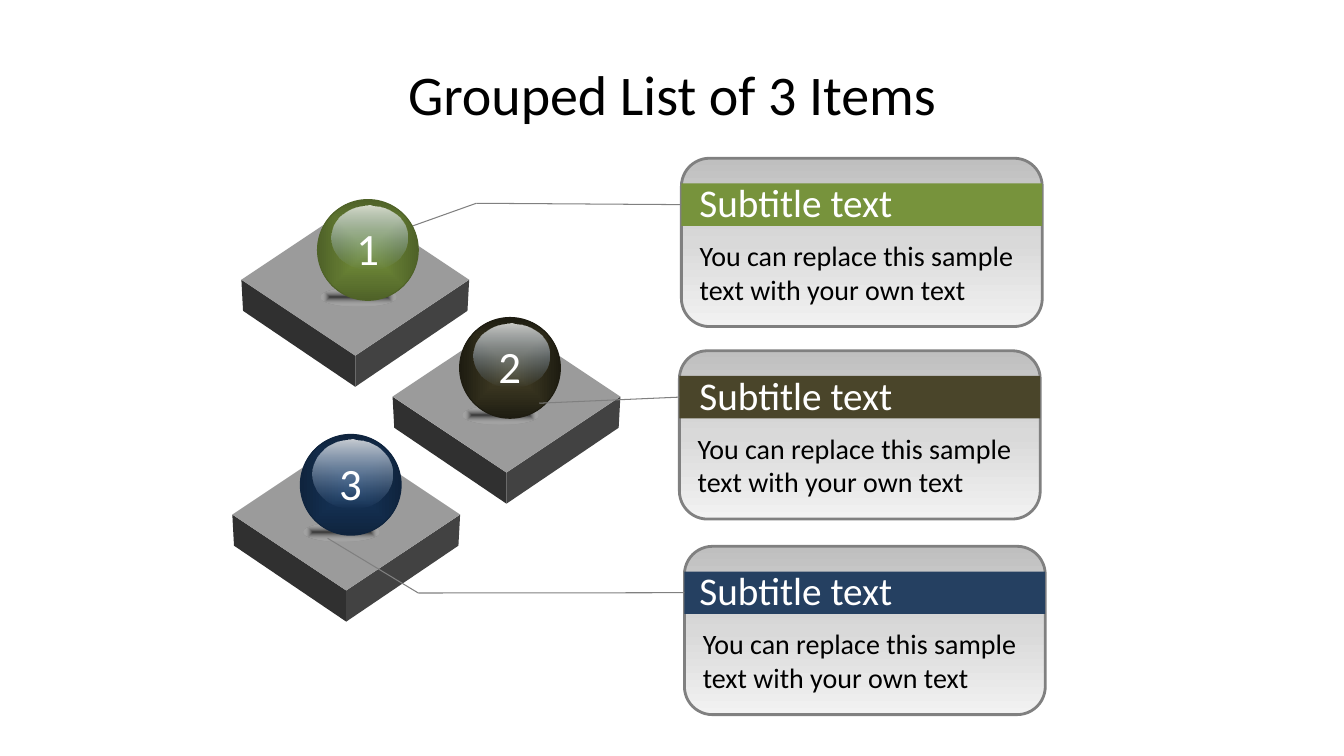
from dataclasses import dataclass

from lxml import etree
from pptx import Presentation
from pptx.dml.color import RGBColor
from pptx.enum.shapes import MSO_CONNECTOR, MSO_SHAPE
from pptx.enum.text import MSO_ANCHOR, MSO_AUTO_SIZE, PP_ALIGN
from pptx.oxml import parse_xml
from pptx.oxml.ns import nsdecls, qn
from pptx.util import Inches, Pt

DIAMOND = MSO_SHAPE.DIAMOND
OVAL = MSO_SHAPE.OVAL
RECTANGLE = MSO_SHAPE.RECTANGLE
ROUNDED = MSO_SHAPE.ROUNDED_RECTANGLE
STRAIGHT = MSO_CONNECTOR.STRAIGHT
LEFT, CENTER = PP_ALIGN.LEFT, PP_ALIGN.CENTER
MIDDLE = MSO_ANCHOR.MIDDLE
GROW = MSO_AUTO_SIZE.SHAPE_TO_FIT_TEXT

SLIDE_WIDTH, SLIDE_HEIGHT = Inches(13.333), Inches(7.5)
COLUMNS, ROWS = 80, 45
LEFT_SIDE = 1


@dataclass(frozen=True)
class Theme:
    font: str = "Calibri"
    title_size: int = 40
    number_size: int = 32
    subtitle_size: int = 28
    body_size: int = 20
    dark_text: str = "000000"
    light_text: str = "FFFFFF"
    line: str = "808080"
    tile_top: str = "9B9B9B"
    tile_left: str = "303030"
    tile_right: str = "424242"
    card: tuple = ((0, "BFBFBF", 100), (50, "D9D9D9", 100), (100, "F2F2F2", 100))
    gloss: tuple = ((0, "FFFFFF", 77), (100, "8EB4E3", 0))
    floor_shadow: tuple = ((0, "171717", 76), (100, "FFFFFF", 0))


@dataclass(frozen=True)
class Item:
    number: str
    band_color: str
    sphere_color: str
    rim_color: str
    tile_center: tuple
    sphere: tuple
    gloss_width: float
    card: tuple
    leader: tuple


THEME = Theme()
SUBTITLE = "Subtitle text"
BODY = "You can replace this sample text with your own text"
ITEMS = (
    Item("1", "77933C", "77933C", "4F6228", (21.15, 16.65), (18.9, 11.88), 4.5,
         (40.56, 9.42), ((23.58, 13.8), (28.35, 12.1))),
    Item("2", "4A452A", "4A452A", "1E1C11", (30.15, 23.61), (27.36, 18.9), 4.5,
         (40.44, 20.88), ((32.1, 24),)),
    Item("3", "254061", "17375E", "0F243E", (20.61, 30.63), (17.88, 25.86), 4.8,
         (40.74, 32.52), ((19.5, 32.04), (24.9, 35.3))),
)


def across(columns):
    return round(SLIDE_WIDTH * columns / COLUMNS)


def down(rows):
    return round(SLIDE_HEIGHT * rows / ROWS)


def box(left, top, width, height):
    return across(left), down(top), across(width), down(height)


def set_solid(shape, color):
    shape.fill.solid()
    shape.fill.fore_color.rgb = RGBColor.from_string(color)


def set_gradient(shape, stops, radial=False):
    stop_xml = "".join(
        f'<a:gs pos="{position * 1000}"><a:srgbClr val="{color}">'
        f'<a:alpha val="{opacity * 1000}"/></a:srgbClr></a:gs>'
        for position, color, opacity in stops
    )
    direction = '<a:lin ang="5400000" scaled="0"/>'
    if radial:
        direction = ('<a:path path="shape"><a:fillToRect l="50000" t="50000" '
                     'r="50000" b="50000"/></a:path>')
    gradient = parse_xml(f'<a:gradFill {nsdecls("a")} rotWithShape="1">'
                         f'<a:gsLst>{stop_xml}</a:gsLst>{direction}</a:gradFill>')
    shape.fill.background()
    properties = shape._element.spPr
    properties.replace(properties.find(qn("a:noFill")), gradient)


def set_line(shape, color=None, width=0.75):
    if color is None:
        shape.line.fill.background()
        return
    shape.line.color.rgb = RGBColor.from_string(color)
    shape.line.width = Pt(width)


def add_plain_shape(slide, kind, left, top, width, height):
    shape = slide.shapes.add_shape(kind, *box(left, top, width, height))
    shape.shadow.inherit = False
    set_line(shape)
    return shape


def write_text(text_frame, text, size, color, alignment=LEFT):
    text_frame.text = text
    paragraph = text_frame.paragraphs[0]
    paragraph.alignment = alignment
    font = paragraph.runs[0].font
    font.name = THEME.font
    font.size = Pt(size)
    font.color.rgb = RGBColor.from_string(color)


def add_text(slide, place, text, size, color, alignment=LEFT, wrap=True):
    text_frame = slide.shapes.add_textbox(*box(*place)).text_frame
    text_frame.word_wrap = wrap
    text_frame.auto_size = GROW
    write_text(text_frame, text, size, color, alignment)


def add_title(slide, text):
    title = slide.shapes.title
    title.left, title.top, title.width, title.height = box(4, 1.8, 72, 7.5)
    title.text_frame.vertical_anchor = MIDDLE
    write_text(title.text_frame, text, THEME.title_size, THEME.dark_text, CENTER)


def add_tile(slide, center):
    x, y = center
    half_width, half_height, depth = 6.78, 4.52, 1.85
    for direction, color in ((-1, THEME.tile_left), (1, THEME.tile_right)):
        corner = x + direction * half_width
        lower_corner = corner - direction * 0.1
        builder = slide.shapes.build_freeform(across(corner), down(y))
        builder.add_line_segments([
            (across(x), down(y + half_height)),
            (across(x), down(y + half_height + depth)),
            (across(lower_corner), down(y + depth)),
        ])
        side = builder.convert_to_shape()
        side.shadow.inherit = False
        set_solid(side, color)
        set_line(side)
    top = add_plain_shape(slide, DIAMOND, x - half_width, y - half_height,
                          2 * half_width, 2 * half_height)
    set_solid(top, THEME.tile_top)


def add_sphere(slide, item):
    left, top = item.sphere
    floor_shadow = add_plain_shape(slide, OVAL, left + 0.18, top + 5.24, 4.5, 1.14)
    set_gradient(floor_shadow, THEME.floor_shadow, radial=True)
    ball = add_plain_shape(slide, OVAL, left, top, 6, 6)
    set_gradient(ball, ((0, item.sphere_color, 100), (100, item.rim_color, 100)), radial=True)
    set_line(ball, item.rim_color)
    gloss = add_plain_shape(slide, OVAL, left + 3.1 - item.gloss_width / 2, top + 0.33,
                            item.gloss_width, item.gloss_width * 0.85)
    set_gradient(gloss, THEME.gloss)
    add_text(slide, (left + 1.7, top + 0.96, 2.58, 3.84), item.number,
             THEME.number_size, THEME.light_text, CENTER, wrap=False)


def add_card(slide, item):
    left, top = item.card
    width = 21.48
    card = add_plain_shape(slide, ROUNDED, left, top, width, 10.02)
    set_gradient(card, THEME.card)
    set_line(card, THEME.line, 2)
    band = add_plain_shape(slide, RECTANGLE, left, top + 1.5, width, 2.52)
    set_solid(band, item.band_color)
    add_text(slide, (left + 0.5, top + 4.5, 20.52, 4.62), BODY,
             THEME.body_size, THEME.dark_text)
    add_text(slide, (41.04, top + 0.92, 15.48, 3.42), SUBTITLE,
             THEME.subtitle_size, THEME.light_text)
    return band


def add_leader(slide, points, band):
    corners = [(across(x), down(y)) for x, y in points]
    corners.append((band.left, band.top + band.height // 2))
    for start, end in zip(corners, corners[1:]):
        connector = slide.shapes.add_connector(STRAIGHT, *start, *end)
        set_line(connector, THEME.line)
        etree.SubElement(connector._element.spPr, qn("a:effectLst"))
    connector.end_connect(band, LEFT_SIDE)


def main():
    presentation = Presentation()
    presentation.slide_width, presentation.slide_height = SLIDE_WIDTH, SLIDE_HEIGHT
    slide = presentation.slides.add_slide(presentation.slide_layouts[5])
    add_title(slide, "Grouped List of 3 Items")
    for item in ITEMS:
        add_tile(slide, item.tile_center)
    first, *others = ITEMS
    for item in others:
        add_sphere(slide, item)
    for item in ITEMS:
        add_leader(slide, item.leader, add_card(slide, item))
    add_sphere(slide, first)
    presentation.save("out.pptx")


if __name__ == "__main__":
    main()
